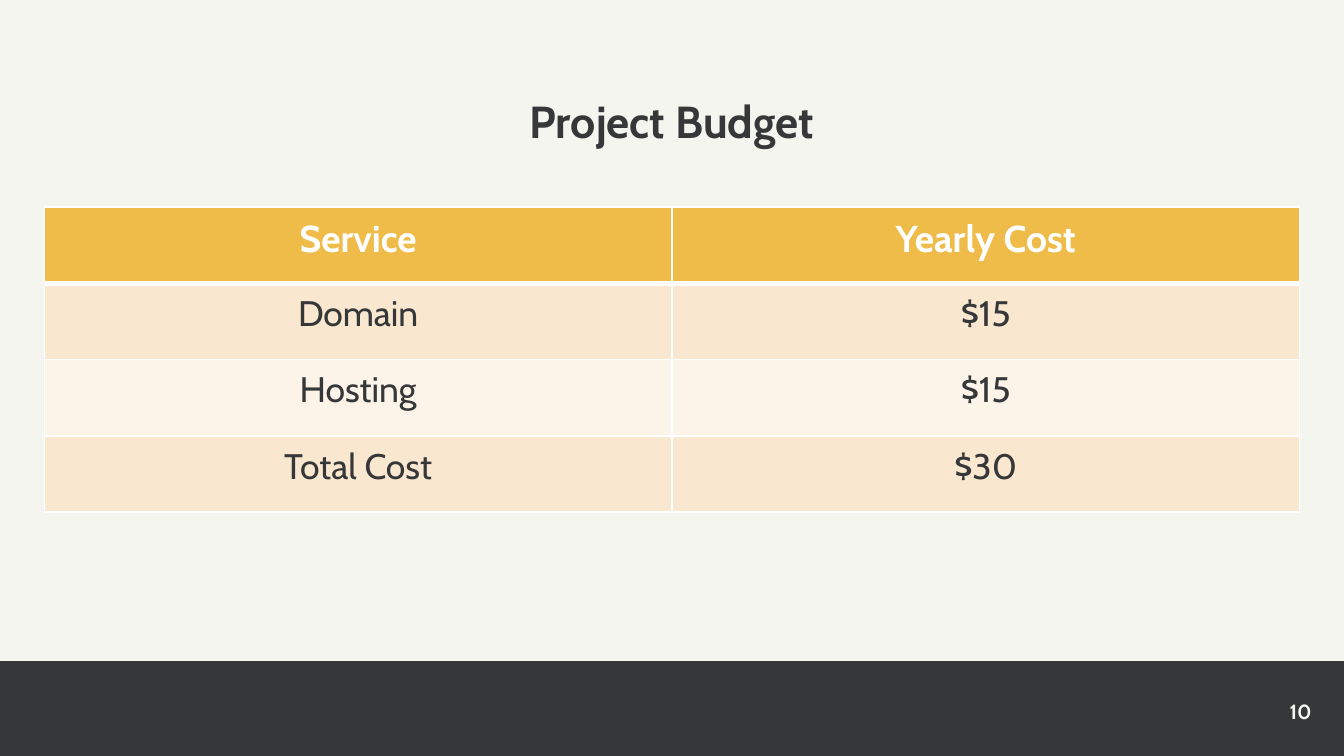
from dataclasses import dataclass

from lxml.etree import SubElement
from pptx import Presentation
from pptx.dml.color import RGBColor
from pptx.enum.shapes import MSO_SHAPE
from pptx.enum.text import MSO_ANCHOR, MSO_AUTO_SIZE, PP_ALIGN
from pptx.oxml.ns import qn
from pptx.util import Inches, Pt


@dataclass(frozen=True)
class Theme:
    font: str = "Cabin"
    paper: str = "F5F5EF"
    ink: str = "363739"
    white: str = "FFFFFF"
    header: str = "EFBC49"
    bands: tuple = ("F9E7D0", "FCF3E9")
    title_size: float = 24
    header_size: float = 20
    body_size: float = 19
    number_size: float = 11
    rule: float = 1
    header_rule: float = 3


THEME = Theme()
SLIDE_W = 10
SLIDE_H = SLIDE_W * 9 / 16
BUDGET = [
    ("Service", "Yearly Cost"),
    ("Domain", "$15"),
    ("Hosting", "$15"),
    ("Total Cost", "$30"),
]


def paint(fill, color):
    fill.solid()
    fill.fore_color.rgb = RGBColor.from_string(color)


def set_margins(area, x, y):
    area.margin_left = area.margin_right = Inches(x)
    area.margin_top = area.margin_bottom = Inches(y)


def write(frame, text, size, color, bold, align):
    frame.text = text
    paragraph = frame.paragraphs[0]
    paragraph.alignment = align
    font = paragraph.runs[0].font
    font.name, font.size, font.bold = THEME.font, Pt(size), bold
    font.color.rgb = RGBColor.from_string(color)
    return paragraph


def set_borders(cell, top, bottom):
    """Draw the four cell borders; they must precede the cell fill."""
    properties = cell._tc.get_or_add_tcPr()
    widths = {"a:lnL": THEME.rule, "a:lnR": THEME.rule, "a:lnT": top, "a:lnB": bottom}
    for position, (tag, width) in enumerate(widths.items()):
        line = SubElement(properties, qn(tag), w=str(Pt(width)))
        SubElement(SubElement(line, qn("a:solidFill")), qn("a:srgbClr"), val=THEME.white)
        properties.insert(position, line)


def place_title(slide, left, top, width, height):
    title = slide.shapes.title
    title.left, title.top = Inches(left), Inches(top)
    title.width, title.height = Inches(width), Inches(height)
    frame = title.text_frame
    frame.word_wrap = True
    frame.auto_size = MSO_AUTO_SIZE.NONE
    frame.vertical_anchor = MSO_ANCHOR.TOP
    set_margins(frame, 0, 0)
    heading = write(frame, "Project Budget", THEME.title_size, THEME.ink, True, PP_ALIGN.CENTER)
    heading.line_spacing = 1.2
    heading.space_before = Pt(0)


def add_budget_table(slide, left, top, width, height):
    table = slide.shapes.add_table(
        len(BUDGET), len(BUDGET[0]),
        Inches(left), Inches(top), Inches(width), Inches(height),
    ).table
    for row, entries in enumerate(BUDGET):
        is_header = row == 0
        fill = THEME.header if is_header else THEME.bands[(row - 1) % 2]
        size = THEME.header_size if is_header else THEME.body_size
        color = THEME.white if is_header else THEME.ink
        # The thick rule is shared by the header and the first body row
        upper = THEME.header_rule if row == 1 else THEME.rule
        lower = THEME.header_rule if is_header else THEME.rule
        for column, entry in enumerate(entries):
            cell = table.cell(row, column)
            set_margins(cell, 0.14, 0.07)
            paint(cell.fill, fill)
            write(cell.text_frame, entry, size, color, is_header, PP_ALIGN.CENTER)
            set_borders(cell, upper, lower)


def add_footer(slide, left, top, width, height):
    # Dark band
    band = slide.shapes.add_shape(
        MSO_SHAPE.RECTANGLE, Inches(left), Inches(top), Inches(width), Inches(height)
    )
    band.shadow.inherit = False
    paint(band.fill, THEME.ink)
    band.line.fill.background()

    # Page number, inset from the right edge
    number_w, number_h = 0.6, 0.2
    page_number = slide.shapes.add_textbox(
        Inches(left + width - 0.24 - number_w), Inches(top + 0.27),
        Inches(number_w), Inches(number_h),
    )
    frame = page_number.text_frame
    frame.word_wrap = True
    frame.vertical_anchor = MSO_ANCHOR.MIDDLE
    set_margins(frame, 0, 0)
    write(frame, "10", THEME.number_size, THEME.paper, True, PP_ALIGN.RIGHT)


def main():
    deck = Presentation()
    deck.slide_width, deck.slide_height = Inches(SLIDE_W), Inches(SLIDE_H)
    slide = deck.slides.add_slide(deck.slide_layouts[5])
    paint(slide.background.fill, THEME.paper)

    footer_top = 4.92
    add_footer(slide, 0, footer_top, SLIDE_W, SLIDE_H - footer_top)
    place_title(slide, 0.97, 0.62, SLIDE_W - 2 * 0.97, 0.48)
    add_budget_table(slide, 0.33, 1.54, SLIDE_W - 2 * 0.33, 2.27)

    deck.save("out.pptx")


if __name__ == "__main__":
    main()
